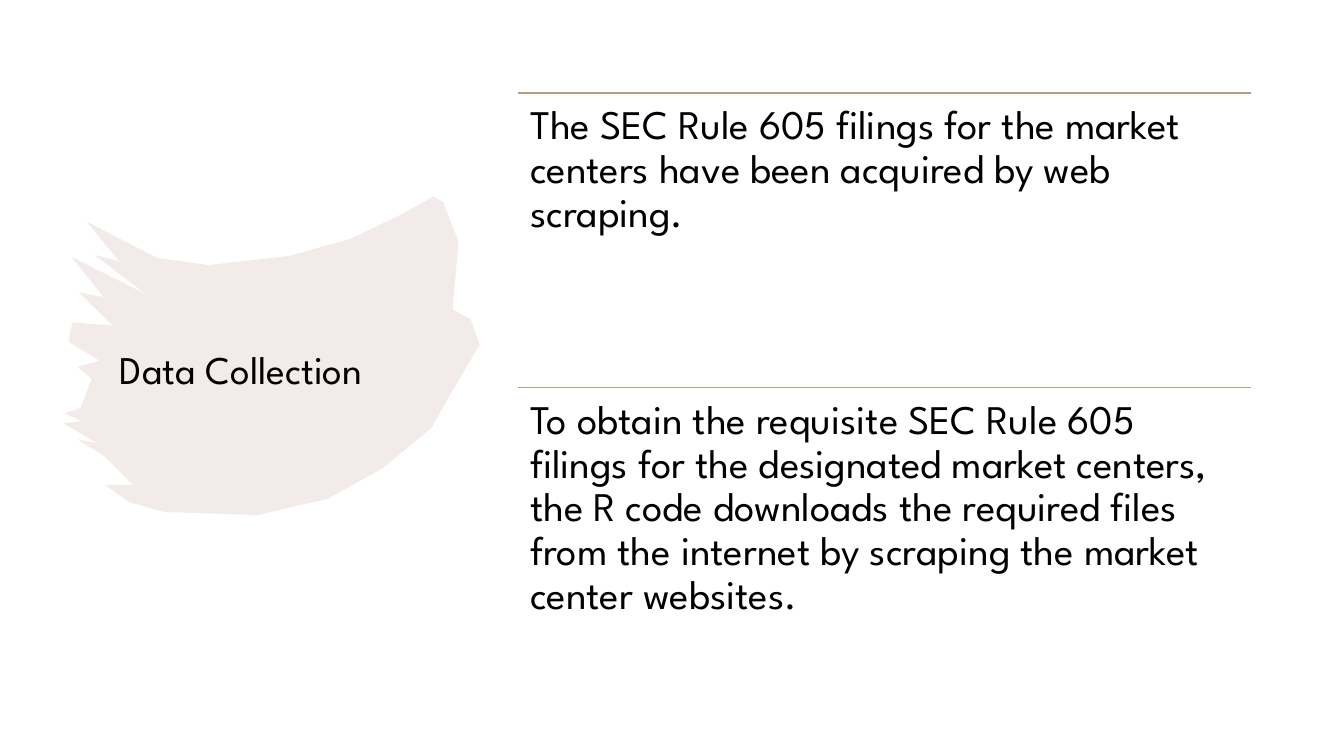
from lxml import etree
from pptx import Presentation
from pptx import util as u
from pptx.dml.color import RGBColor
from pptx.enum import shapes, text
from pptx.oxml.ns import qn

FONT = "League Spartan"
COLORS = {"ink": "000000", "brush": "C69996", "tan": "BA9C7F", "olive": "A8A580"}
BRUSH_OPACITY = 20
BRUSH_UNIT = u.Cm(2.54) / 100
BRUSH_OUTLINE = [
    (430, 195), (440, 201), (455, 240), (449, 307), (467, 317), (476, 342),
    (444, 396), (428, 425), (379, 465), (325, 495), (255, 511), (163, 508),
    (128, 498), (104, 481), (132, 481), (104, 453), (77, 436), (97, 440),
    (63, 420), (81, 418), (64, 410), (80, 405), (91, 376), (77, 364),
    (99, 358), (68, 339), (72, 320), (112, 323), (78, 290), (103, 295),
    (71, 255), (145, 292), (94, 253), (118, 259), (86, 220), (156, 256),
    (207, 263), (287, 254), (348, 237), (400, 212),
]
DATA_STEPS = [
    ("The SEC Rule 605 filings for the market centers have been acquired "
     "by web scraping.", "tan"),
    ("To obtain the requisite SEC Rule 605 filings for the designated market "
     "centers, the R code downloads the required files from the internet by "
     "scraping the market center websites.", "olive"),
]
STEP_LEFT, STEP_TOP = u.Cm(13.06), u.Cm(2.34)
STEP_WIDTH, STEP_HEIGHT = u.Cm(18.47), u.Cm(7.42)


def color(name):
    return RGBColor.from_string(COLORS[name])


def write(frame, words, size):
    frame.text = words
    frame.word_wrap = True
    frame.auto_size = text.MSO_AUTO_SIZE.NONE
    paragraph = frame.paragraphs[0]
    paragraph.alignment = text.PP_ALIGN.LEFT
    paragraph.line_spacing = 0.9
    font = paragraph.runs[0].font
    font.name = FONT
    font.size = u.Pt(size)
    font.color.rgb = color("ink")


def add_brush_stroke(slide):
    builder = slide.shapes.build_freeform(*BRUSH_OUTLINE[0], scale=BRUSH_UNIT)
    builder.add_line_segments(BRUSH_OUTLINE[1:], close=True)
    stroke = builder.convert_to_shape()
    stroke.shadow.inherit = False
    stroke.line.fill.background()
    stroke.fill.solid()
    stroke.fill.fore_color.rgb = color("brush")
    tint = stroke._element.spPr.find(qn("a:solidFill"))[0]
    etree.SubElement(tint, qn("a:alpha"), val=str(BRUSH_OPACITY * 1000))
    slide.shapes.title._element.addprevious(stroke._element)


def place_title(slide, words):
    title = slide.shapes.title
    title.left, title.top = u.Cm(2.77), u.Cm(7.29)
    title.width, title.height = u.Cm(8.36), u.Cm(4.17)
    write(title.text_frame, words, 28)
    title.text_frame.vertical_anchor = text.MSO_ANCHOR.MIDDLE


def add_step(slide, top, words, rule_color):
    rule = slide.shapes.add_connector(
        shapes.MSO_CONNECTOR.STRAIGHT, STEP_LEFT, top, STEP_LEFT + STEP_WIDTH, top)
    rule.line.color.rgb = color(rule_color)
    rule.line.width = u.Pt(1)
    etree.SubElement(rule._element.spPr, qn("a:effectLst"))

    step = slide.shapes.add_textbox(STEP_LEFT, top, STEP_WIDTH, STEP_HEIGHT)
    frame = step.text_frame
    write(frame, words, 29)
    frame.margin_left = frame.margin_right = u.Cm(0.3)
    frame.margin_top = frame.margin_bottom = u.Cm(0.3)


def main():
    deck = Presentation()
    deck.slide_width, deck.slide_height = u.Cm(33.87), u.Cm(19.05)
    slide = deck.slides.add_slide(deck.slide_layouts.get_by_name("Title Only"))
    add_brush_stroke(slide)
    place_title(slide, "Data Collection")
    for row, (words, rule_color) in enumerate(DATA_STEPS):
        add_step(slide, STEP_TOP + row * STEP_HEIGHT, words, rule_color)
    deck.save("out.pptx")


if __name__ == "__main__":
    main()
